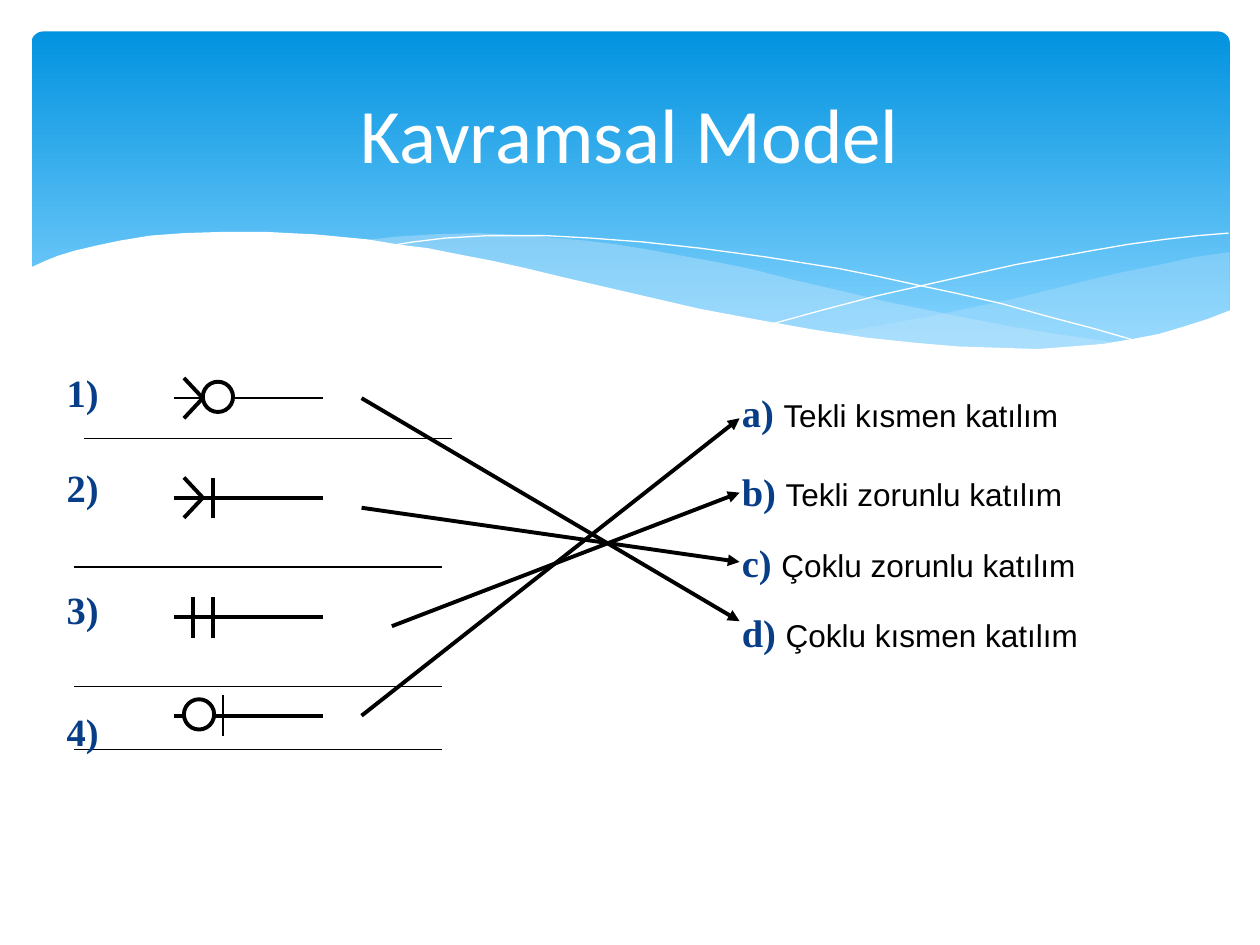
from lxml import etree
from pptx import Presentation
from pptx.dml.color import RGBColor
from pptx.enum import shapes, text
from pptx.oxml.ns import qn
from pptx.util import Inches, Pt

COLORS = {"sky_top": "0293E0", "sky_bottom": "83D3FE", "wave": "C6E7FC",
          "white": "FFFFFF", "black": "000000", "label": "073E87"}
THIN, THICK = 0.75, 2.25
SYMBOL_LEFT, SYMBOL_RIGHT = 1.38, 2.56
ROWS = {"1)": 3.16, "2)": 3.95, "3)": 4.9, "4)": 5.68}

RIGHT_WAVE = [
    (9.76, 2), (9.48, 2.04), (9.21, 2.1), (8.91, 2.16), (8.61, 2.23), (8.05, 2.37),
    (7.53, 2.48), (7.06, 2.57), (6.61, 2.65), (6.91, 2.69), (7.19, 2.72), (7.45, 2.75),
    (7.81, 2.77), (8.14, 2.78), (8.44, 2.77), (8.72, 2.74), (8.97, 2.7), (9.21, 2.65),
    (9.49, 2.57), (9.76, 2.47)]
MIDDLE_WAVE = [
    (8.93, 2.73), (8.66, 2.69), (8.37, 2.65), (8.07, 2.6), (7.75, 2.54), (7.41, 2.47),
    (7.06, 2.4), (6.68, 2.31), (6.29, 2.22), (5.98, 2.14), (5.69, 2.08), (5.41, 2.03),
    (5.14, 1.98), (4.89, 1.94), (4.65, 1.91), (4.42, 1.89), (4.2, 1.87), (3.8, 1.85),
    (3.44, 1.86), (3.13, 1.88), (2.86, 1.91), (3.23, 1.96), (3.62, 2.03), (4.04, 2.11),
    (4.49, 2.22), (4.91, 2.32), (5.3, 2.4), (5.66, 2.48), (6.01, 2.55), (6.34, 2.61),
    (6.65, 2.66), (6.95, 2.7), (7.22, 2.74), (7.48, 2.76), (7.73, 2.77), (7.96, 2.78),
    (8.28, 2.78), (8.57, 2.77), (8.76, 2.75)]
FALLING_LINE = [
    (3.09, 1.95), (3.28, 1.92), (3.53, 1.89), (3.87, 1.87), (4.33, 1.87), (4.69, 1.89),
    (5.1, 1.92), (5.56, 1.97), (6.08, 2.04), (6.65, 2.13), (6.95, 2.19), (7.27, 2.26),
    (7.6, 2.33), (7.95, 2.41), (8.31, 2.51), (8.69, 2.61), (9.07, 2.72)]
RISING_LINE = [
    (6.13, 2.57), (6.53, 2.46), (6.95, 2.35), (7.48, 2.23), (8.06, 2.1), (8.66, 1.99),
    (8.95, 1.94), (9.24, 1.9), (9.51, 1.87), (9.75, 1.85)]
FRONT_WAVE = [
    (9.77, 2.46), (9.59, 2.53), (9.4, 2.59), (9.2, 2.65), (8.99, 2.69), (8.75, 2.73),
    (8.5, 2.75), (8.23, 2.77), (7.93, 2.76), (7.61, 2.75), (7.26, 2.72), (6.88, 2.68),
    (6.48, 2.62), (6.03, 2.54), (5.55, 2.45), (5.03, 2.33), (4.47, 2.2), (4.18, 2.13),
    (3.91, 2.07), (3.65, 2.02), (3.4, 1.97), (3.16, 1.94), (2.92, 1.9), (2.71, 1.88),
    (2.5, 1.86), (2.3, 1.85), (2.11, 1.84), (1.77, 1.84), (1.46, 1.85), (1.19, 1.87),
    (0.95, 1.91), (0.76, 1.95), (0.59, 1.99), (0.46, 2.03), (0.36, 2.07), (0.23, 2.13),
    (0.23, 3.29), (9.77, 3.29)]


def rgb(name):
    return RGBColor.from_string(COLORS[name])


def add_curve(slide, points, fill=None, alpha=100):
    """Filled closed outline, or an open white hairline when fill is None."""
    vertices = [(Inches(x), Inches(y)) for x, y in points]
    builder = slide.shapes.build_freeform(*vertices[0])
    builder.add_line_segments(vertices[1:], close=fill is not None)
    shape = builder.convert_to_shape()
    shape.shadow.inherit = False
    if fill is None:
        shape.fill.background()
        shape.line.color.rgb = rgb("white")
        shape.line.width = Pt(0)
        return
    shape.line.fill.background()
    shape.fill.solid()
    shape.fill.fore_color.rgb = rgb(fill)
    if alpha < 100:
        color = shape.fill._xPr.find(".//" + qn("a:srgbClr"))
        etree.SubElement(color, qn("a:alpha"), val=str(alpha * 1000))


def add_banner(slide):
    banner = slide.shapes.add_shape(shapes.MSO_SHAPE.ROUNDED_RECTANGLE, Inches(0.25),
                                    Inches(0.25), Inches(9.51), Inches(2.7))
    banner.adjustments[0] = 0.034
    banner.shadow.inherit = False
    banner.line.fill.background()
    banner.fill.gradient()
    banner.fill.gradient_angle = 270
    stops = zip(banner.fill.gradient_stops, (0, 0.9), ("sky_top", "sky_bottom"))
    for stop, position, color in stops:
        stop.position = position
        stop.color.rgb = rgb(color)
    add_curve(slide, RIGHT_WAVE, "wave", 29)
    add_curve(slide, MIDDLE_WAVE, "wave", 40)
    add_curve(slide, FALLING_LINE)
    add_curve(slide, RISING_LINE)
    add_curve(slide, FRONT_WAVE, "white")


def format_run(run, font, size, color, bold=False):
    run.font.name = font
    run.font.size = Pt(size)
    run.font.bold = bold
    run.font.color.rgb = rgb(color)


def set_title(slide, wording):
    title = slide.shapes.title
    title.left, title.top = Inches(0.5), Inches(0.37)
    title.width, title.height = Inches(9), Inches(1.37)
    title.text_frame.text = wording
    title.text_frame.vertical_anchor = text.MSO_ANCHOR.MIDDLE
    paragraph = title.text_frame.paragraphs[0]
    paragraph.alignment = text.PP_ALIGN.CENTER
    format_run(paragraph.runs[0], "Calibri", 44, "white")
    slide.shapes._spTree.append(title._element)  # in front of the banner


def add_list(slide, left, top, width, height, items):
    """Items are (label, wording, points of space before)."""
    frame = slide.shapes.add_textbox(Inches(left), Inches(top), Inches(width),
                                     Inches(height)).text_frame
    frame.word_wrap = True
    for index, (label, wording, space) in enumerate(items):
        paragraph = frame.add_paragraph() if index else frame.paragraphs[0]
        if index:
            paragraph.space_before = Pt(space)
        run = paragraph.add_run()
        run.text = label
        format_run(run, "Times New Roman", 22, "label", bold=True)
        if wording:
            run = paragraph.add_run()
            run.text = wording
            format_run(run, "Arial", 18, "black")


def add_line(slide, start, end, weight=THICK, arrow=False):
    line = slide.shapes.add_connector(shapes.MSO_CONNECTOR.STRAIGHT,
                                      *map(Inches, start + end))
    line.line.color.rgb = rgb("black")
    line.line.width = Pt(weight)
    if arrow:
        etree.SubElement(line.line._get_or_add_ln(), qn("a:tailEnd"), type="triangle")
    etree.SubElement(line._element.spPr, qn("a:effectLst"))


def add_axis(slide, y, weight=THICK):
    add_line(slide, (SYMBOL_LEFT, y), (SYMBOL_RIGHT, y), weight)


def add_crow_foot(slide, y):
    for offset in (-0.16, 0.16):
        add_line(slide, (1.46, y + offset), (1.61, y))


def add_bar(slide, x, y, weight=THICK):
    add_line(slide, (x, y - 0.16), (x, y + 0.16), weight)


def add_circle(slide, left, y):
    circle = slide.shapes.add_shape(shapes.MSO_SHAPE.OVAL, Inches(left), Inches(y - 0.13),
                                    Inches(0.24), Inches(0.24))
    circle.shadow.inherit = False
    circle.fill.solid()
    circle.fill.fore_color.rgb = rgb("white")
    circle.line.color.rgb = rgb("black")
    circle.line.width = Pt(THICK)


def add_symbols(slide):
    many_optional, many_required, one_required, one_optional = ROWS.values()
    add_axis(slide, many_optional, THIN)
    add_crow_foot(slide, many_optional)
    add_circle(slide, 1.61, many_optional)

    add_axis(slide, many_required)
    add_crow_foot(slide, many_required)
    add_bar(slide, 1.69, many_required)

    add_axis(slide, one_required)
    for x in (1.53, 1.69):
        add_bar(slide, x, one_required)

    add_axis(slide, one_optional)
    add_circle(slide, 1.46, one_optional)
    add_bar(slide, 1.77, one_optional, THIN)


def main():
    presentation = Presentation()
    presentation.slide_width, presentation.slide_height = Inches(10), Inches(7.5)
    slide = presentation.slides.add_slide(presentation.slide_layouts[5])
    add_banner(slide)
    set_title(slide, "Kavramsal Model")

    for left, y in ((0.67, 3.48), (0.59, 4.5), (0.59, 5.45), (0.59, 5.95)):
        add_line(slide, (left, y), (left + 2.92, y), THIN)
    add_list(slide, 5.79, 3.04, 3.94, 2.65, [
        ("a) ", "Tekli kısmen katılım", 0), ("b) ", "Tekli zorunlu katılım", 18.7),
        ("c) ", "Çoklu zorunlu katılım", 13.9), ("d) ", "Çoklu kısmen katılım", 13.9)])
    add_list(slide, 0.43, 2.88, 0.79, 3.24,
             [(label, "", space) for label, space in zip(ROWS, (0, 27.8, 43.3, 43.3))])

    matches = (((2.87, 3.16), 4.93), ((2.87, 4.03), 4.46),
               ((3.11, 4.97), 3.91), ((2.87, 5.68), 3.32))
    for start, answer_y in matches:
        add_line(slide, start, (5.87, answer_y), arrow=True)
    add_symbols(slide)
    presentation.save("out.pptx")


if __name__ == "__main__":
    main()
